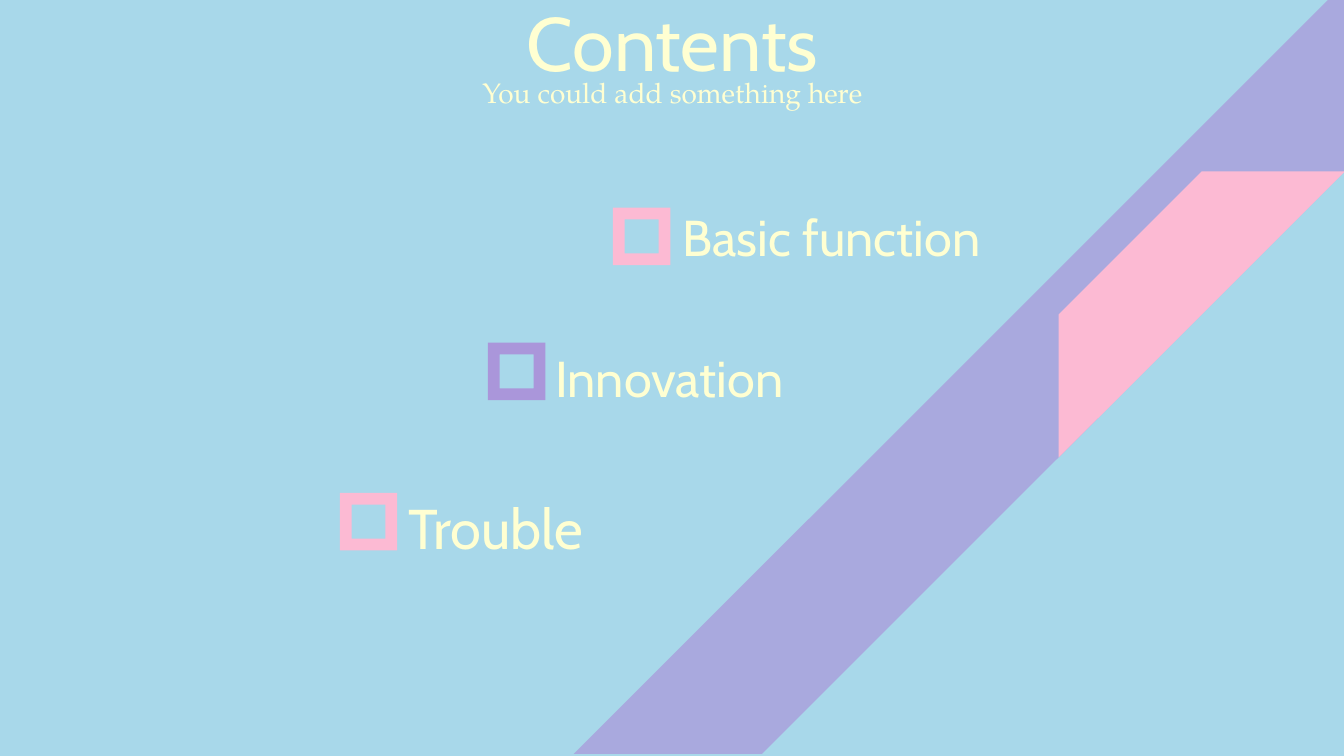
import pptx
import pptx.util
import pptx.dml.color
import pptx.enum.shapes
import pptx.enum.text
import lxml.etree

Inches = pptx.util.Inches
Kind = pptx.enum.shapes.MSO_SHAPE
Align = pptx.enum.text.PP_ALIGN
PINK, VIOLET, CREAM = "FCBAD3", "AA96DA", "FFFFD2"


def paint(fill, color):
    fill.solid()
    fill.fore_color.rgb = pptx.dml.color.RGBColor.from_string(color)


def write(box, text, size, font, align):
    frame = box.text_frame
    frame.text = text
    frame.word_wrap = True
    frame.auto_size = pptx.enum.text.MSO_AUTO_SIZE.SHAPE_TO_FIT_TEXT
    frame.vertical_anchor = pptx.enum.text.MSO_ANCHOR.TOP
    line = frame.paragraphs[0]
    line.alignment = align
    run = line.runs[0]
    run.font.size = pptx.util.Pt(size)
    run.font.name = font
    paint(run.font.fill, CREAM)


deck = pptx.Presentation()
deck.slide_width = Inches(13.33)
deck.slide_height = Inches(7.5)
slide = deck.slides.add_slide(deck.slide_layouts[5])
paint(slide.background.fill, "A8D8EA")
shapes = slide.shapes

title = shapes.title
title.left, title.top = Inches(3.68), Inches(-0.09)
title.width, title.height = Inches(5.98), Inches(1.01)
write(title, "Contents", 54, "Cabin", Align.CENTER)

note = shapes.add_textbox(Inches(4.47), Inches(0.7), Inches(4.4), Inches(0.44))
write(note, "You could add something here", 20, "TeX Gyre Pagella", Align.CENTER)

marks = [
    (Kind.DIAGONAL_STRIPE, 5.69, -0.17, 7.65, 0.756, VIOLET),
    (Kind.DIAGONAL_STRIPE, 10.5, 1.7, 2.84, 0.5, PINK),
    (Kind.FRAME, 6.08, 2.06, 0.57, 0.205, PINK),
    (Kind.FRAME, 4.84, 3.4, 0.57, 0.205, VIOLET),
    (Kind.FRAME, 3.37, 4.89, 0.57, 0.205, PINK),
]
drawn = []
for kind, left, top, side, ratio, color in marks:
    mark = shapes.add_shape(kind, Inches(left), Inches(top), Inches(side), Inches(side))
    mark.adjustments[0] = ratio
    mark.shadow.inherit = False
    mark.line.fill.background()
    paint(mark.fill, color)
    drawn.append(mark)

band = drawn[0]
band.rotation = 180
tint = band.fill._xPr.find(".//" + pptx.oxml.ns.qn("a:srgbClr"))
lxml.etree.SubElement(tint, pptx.oxml.ns.qn("a:alpha"), val="70000")

topics = [
    ("Basic function", 6.67, 2, 4.21, 0.71, 36),
    ("Innovation", 5.41, 3.39, 3.58, 0.71, 36),
    ("Trouble", 3.95, 4.85, 3.85, 0.77, 40),
]
for text, left, top, width, height, size in topics:
    box = shapes.add_textbox(Inches(left), Inches(top), Inches(width), Inches(height))
    write(box, text, size, "Cabin", Align.LEFT)

deck.save("out.pptx")
